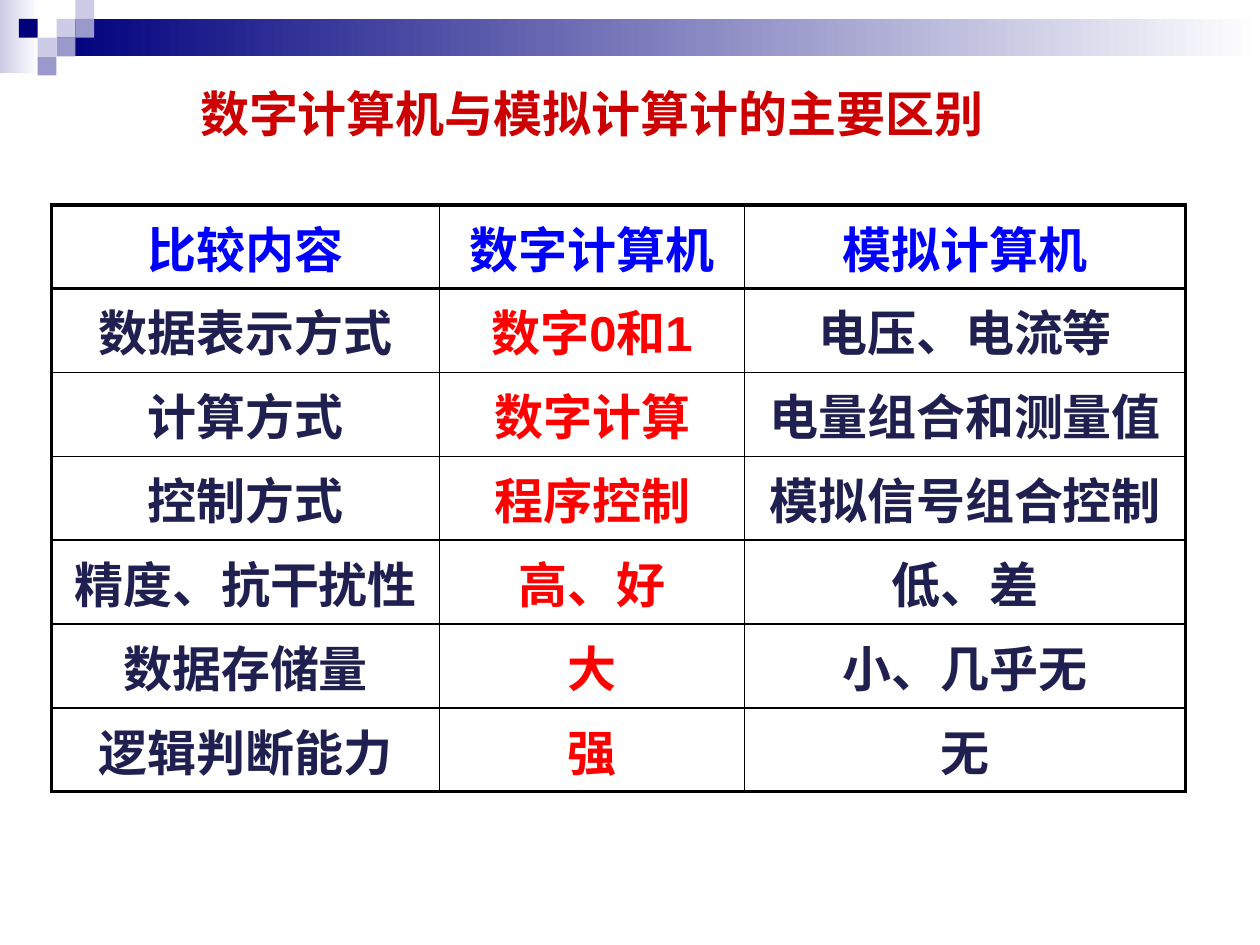
from pptx import Presentation, util as u
from pptx.dml.color import RGBColor
from pptx.enum import shapes, text
from pptx.oxml import parse_xml
from pptx.oxml.ns import nsdecls

THEME = {
    "navy": "00007D", "mid": "9999CC", "pale": "CCCCE6", "white": "FFFFFF",
    "title": "CC0000", "head": "0000FF", "body": "202050", "mark": "FF0000",
    "line": "000000", "thick": 2.25, "thin": 1, "size": 28, "face": "Arial",
}


def rgb(name):
    return RGBColor.from_string(THEME[name])


def style(para, tint, **form):
    para.font.color.rgb = rgb(tint)
    looks = {"name": THEME["face"], "size": u.Pt(THEME["size"]), "bold": True}
    for key, val in looks.items():
        setattr(para.font, key, val)
    for key, val in form.items():
        setattr(para, key, val)


deck = Presentation()
deck.slide_width, deck.slide_height = u.Cm(25.4), u.Cm(19.05)
slide = deck.slides.add_slide(deck.slide_layouts[5])

# Corner ornament: two fading bars, then small squares on a grid
STEP = 0.38
bars = [(0, 0, 0.79, 1.47, "pale", "white"),
        (1.14, STEP, 24.26, 0.76, "navy", "white")]
grid = [(3, 1, "pale"), (4, 0, "pale"), (4, 1, "mid"), (2, 2, "pale"),
        (1, 1, "navy"), (3, 2, "mid"), (2, 3, "mid")]
tiles = [(col * STEP, row * STEP, STEP, STEP, tint, None) for col, row, tint in grid]
for left, top, wide, high, tint, fade in bars + tiles:
    box = slide.shapes.add_shape(shapes.MSO_SHAPE.RECTANGLE,
                                 *map(u.Cm, (left, top, wide, high)))
    box.shadow.inherit = False
    box.line.fill.background()
    if fade:
        box.fill.gradient()
        box.fill.gradient_angle = 0
        for stop, name in zip(box.fill.gradient_stops, (tint, fade)):
            stop.color.rgb = rgb(name)
    else:
        box.fill.solid()
        box.fill.fore_color.rgb = rgb(tint)

# Title
title = slide.shapes.title
place = {"left": 3.78, "top": 1.68, "width": 16.74, "height": 1.65}
for key, val in place.items():
    setattr(title, key, u.Cm(val))
frame = title.text_frame
frame.text = "数字计算机与模拟计算计的主要区别"
form = {"vertical_anchor": text.MSO_ANCHOR.TOP, "word_wrap": True,
        "auto_size": text.MSO_AUTO_SIZE.NONE}
for key, val in form.items():
    setattr(frame, key, val)
style(frame.paragraphs[0], "title", alignment=text.PP_ALIGN.LEFT, line_spacing=0.9)

# Comparison table
rows = [
    ("比较内容", "数字计算机", "模拟计算机"),
    ("数据表示方式", "数字0和1", "电压、电流等"),
    ("计算方式", "数字计算", "电量组合和测量值"),
    ("控制方式", "程序控制", "模拟信号组合控制"),
    ("精度、抗干扰性", "高、好", "低、差"),
    ("数据存储量", "大", "小、几乎无"),
    ("逻辑判断能力", "强", "无"),
]
wides = [7.82, 6.15, 8.89]
HIGH = 1.69
table = slide.shapes.add_table(len(rows), len(wides), u.Cm(1.04), u.Cm(4.13),
                               u.Cm(sum(wides)), u.Cm(HIGH * len(rows))).table
table.first_row = table.horz_banding = False
for col, wide in zip(table.columns, wides):
    col.width = u.Cm(wide)

for r, row in enumerate(rows):
    table.rows[r].height = u.Cm(HIGH)
    for c, words in enumerate(row):
        cell = table.cell(r, c)
        cell.text = words
        cell.vertical_anchor = text.MSO_ANCHOR.MIDDLE
        tint = "head" if r == 0 else "mark" if c == 1 else "body"
        style(cell.text_frame.paragraphs[0], tint, alignment=text.PP_ALIGN.CENTER)

        # Thick frame and header rule, thin lines inside
        props = cell._tc.get_or_add_tcPr()
        edges = {"lnL": c == 0, "lnR": c == len(wides) - 1,
                 "lnT": r < 2, "lnB": r in (0, len(rows) - 1)}
        for tag, bold in edges.items():
            width = u.Pt(THEME["thick" if bold else "thin"])
            props.append(parse_xml(
                f'<a:{tag} {nsdecls("a")} w="{width}"><a:solidFill>'
                f'<a:srgbClr val="{THEME["line"]}"/></a:solidFill></a:{tag}>'))
        cell.fill.background()

deck.save("out.pptx")
